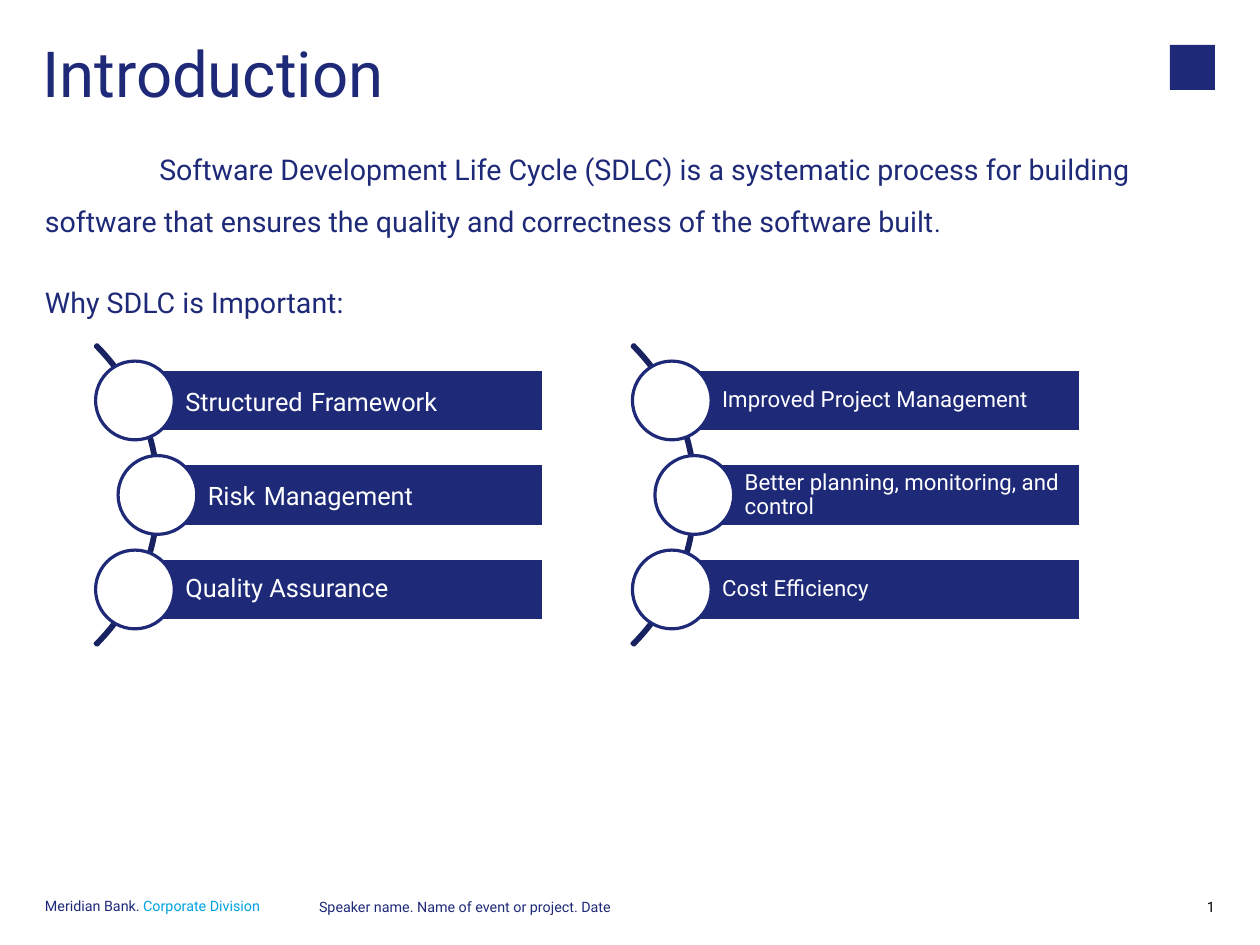
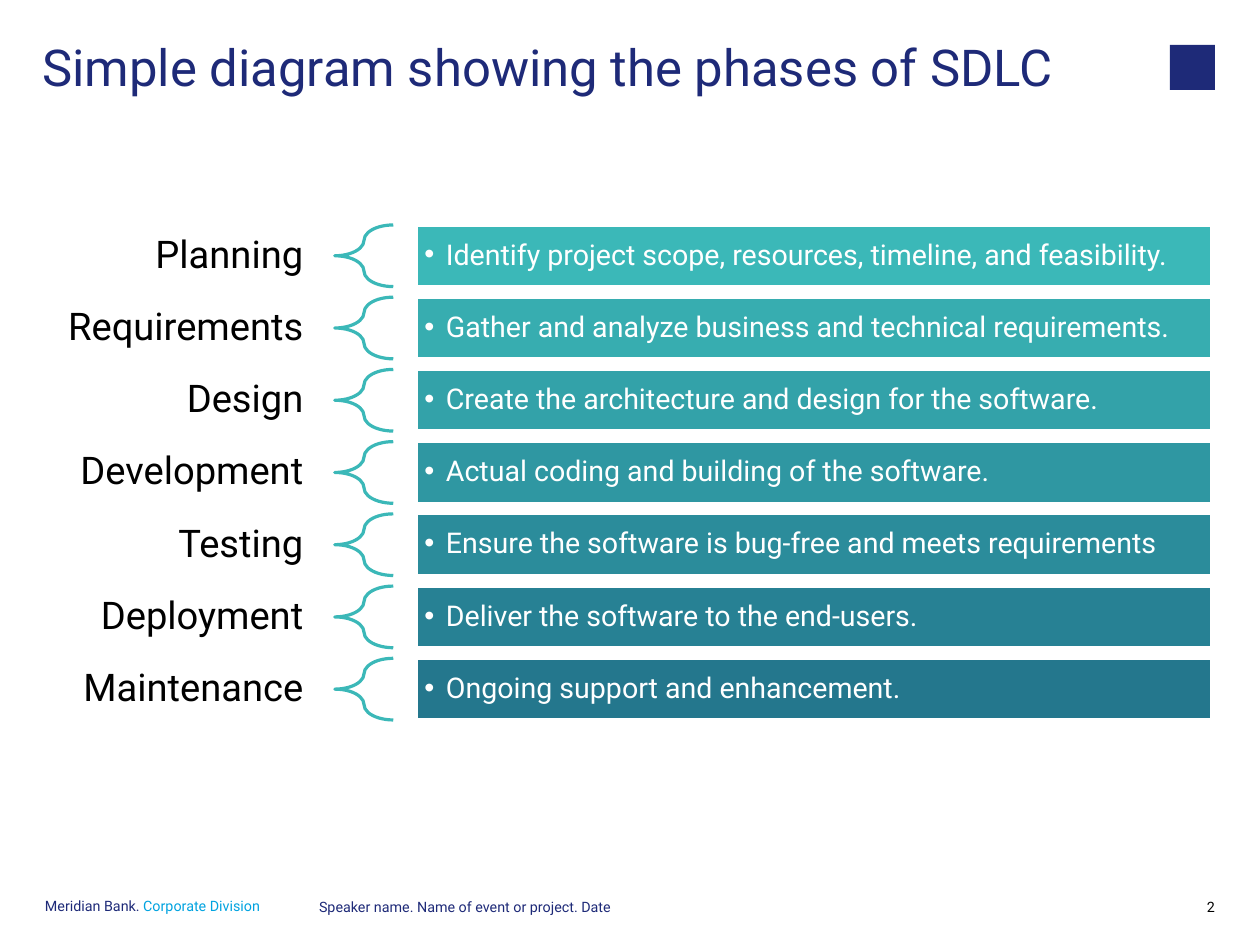
from dataclasses import dataclass

from pptx import Presentation
from pptx.dml.color import RGBColor
from pptx.enum.shapes import MSO_SHAPE
from pptx.enum.text import MSO_ANCHOR, PP_ALIGN
from pptx.oxml.ns import qn
from pptx.util import Cm, Pt


@dataclass(frozen=True)
class Theme:
    font: str = "Roboto"
    navy: str = "1E2A78"
    arc: str = "182260"
    sky: str = "00A3E0"
    teal: str = "3BB8B8"
    deep: str = "24778D"
    black: str = "000000"
    white: str = "FFFFFF"
    title: int = 40
    long: int = 32
    label: int = 24
    body: int = 18
    bar: int = 16
    small: int = 14
    foot: int = 9
    line: int = 2


T = Theme()

# Each bar is a list of (text, size) runs.
LEFT = [
    [("Structured", T.bar), (" ", 21), ("Framework", T.bar)],
    [("Risk", T.bar), (" ", 21), ("Management", T.bar)],
    [("Quality Assurance", T.bar)],
]
RIGHT = [
    [("Improved Project Management", T.small)],
    [("Better planning, monitoring, and control", T.small)],
    [("Cost Efficiency", T.small)],
]
PHASES = [
    ("Planning", "Identify project scope, resources, timeline, and feasibility."),
    ("Requirements", "Gather and analyze business and technical requirements."),
    ("Design", "Create the architecture and design for the software."),
    ("Development", "Actual coding and building of the software."),
    ("Testing", "Ensure the software is bug-free and meets requirements"),
    ("Deployment", "Deliver the software to the end-users."),
    ("Maintenance", "Ongoing support and enhancement."),
]


def paint(shape, fill=None, line=None):
    shape.shadow.inherit = False
    if fill:
        shape.fill.solid()
        shape.fill.fore_color.rgb = RGBColor.from_string(fill)
    else:
        shape.fill.background()
    if line:
        shape.line.color.rgb = RGBColor.from_string(line)
        shape.line.width = Pt(T.line)
    else:
        shape.line.fill.background()


def draw(slide, kind, box, fill=None, line=None):
    shape = slide.shapes.add_shape(kind, *map(Cm, box))
    paint(shape, fill, line)
    return shape


def setup(shape, pads=(0, 0, 0, 0), anchor=MSO_ANCHOR.TOP):
    """Set wrapping, insets (left, top, right, bottom) and anchor."""
    frame = shape.text_frame
    frame.word_wrap = True
    frame.vertical_anchor = anchor
    (frame.margin_left, frame.margin_top,
     frame.margin_right, frame.margin_bottom) = map(Cm, pads)
    return frame


def write(para, runs, space=0.9, align=PP_ALIGN.LEFT):
    """Fill a paragraph with (text, size, colour) runs."""
    para.alignment = align
    para.line_spacing = space
    for text, size, color in runs:
        run = para.add_run()
        run.text = text
        run.font.name = T.font
        run.font.size = Pt(size)
        run.font.color.rgb = RGBColor.from_string(color)


def label(slide, box, runs, pads=(0, 0, 0, 0), anchor=MSO_ANCHOR.TOP, **style):
    shape = slide.shapes.add_textbox(*map(Cm, box))
    frame = setup(shape, pads, anchor)
    write(frame.paragraphs[0], runs, **style)
    return frame


def indent(para, first, left=0, mark=None):
    props = para._p.get_or_add_pPr()
    props.set("marL", str(Cm(left)))
    props.set("indent", str(Cm(first)))
    if mark:
        font = props.makeelement(qn("a:buFont"), {"typeface": "Arial"})
        bullet = props.makeelement(qn("a:buChar"), {"char": mark})
        props.extend([font, bullet])


def blend(start, end, share):
    pairs = [(int(start[i:i + 2], 16), int(end[i:i + 2], 16)) for i in (0, 2, 4)]
    return "".join(f"{int(a + (b - a) * share):02X}" for a, b in pairs)


def start(deck, title, size):
    """Add a slide with its title, corner mark and footer."""
    slide = deck.slides.add_slide(deck.slide_layouts[6])
    draw(slide, MSO_SHAPE.RECTANGLE, (26, 1, 1, 1), T.navy)
    label(slide, (0.94, 0.94, 24.05, 1.55), [(title, size, T.navy)])
    exact = Pt(T.foot)
    label(slide, (1, 20, 5.56, 0.5),
          [("Meridian Bank. ", T.foot, T.navy),
           ("Corporate Division", T.foot, T.sky)], space=exact)
    label(slide, (7.09, 20.02, 13.72, 0.5),
          [("Speaker name. Name of event or project. Date", T.foot, T.navy)],
          space=exact)
    label(slide, (26, 20.02, 1, 0.5),
          [(str(len(deck.slides)), T.foot, T.black)],
          space=exact, align=PP_ALIGN.RIGHT)
    return slide


def curve(slide, left, bars):
    """Draw bars with round markers strung along an arc."""
    mid, step, high, dot, ring = 11, 2.1, 1.4, 1.75, 9.45
    arc = draw(slide, MSO_SHAPE.BLOCK_ARC,
               (left - 8.91, mid - ring / 2, ring, ring), T.arc, T.arc)
    for i, value in enumerate((189, 27, 0.006)):
        arc.adjustments[i] = value
    for i, runs in enumerate(bars):
        x = left + (0.5 if i == 1 else 0)
        y = mid + (i - 1) * step
        bar = draw(slide, MSO_SHAPE.RECTANGLE,
                   (x, y - high / 2, left + 9.09 - x, high), T.navy, T.white)
        frame = setup(bar, (1.12, 0.1, 0.1, 0.1), MSO_ANCHOR.MIDDLE)
        write(frame.paragraphs[0], [(*run, T.white) for run in runs])
        draw(slide, MSO_SHAPE.OVAL, (x - dot / 2, y - dot / 2, dot, dot),
             T.white, T.navy)


def phase(slide, top, name, text, fill):
    high = 1.37
    label(slide, (0.94, top, 6.5, high), [(name, T.label, T.black)],
          (0.48, 0.18, 0.7, 0.18), MSO_ANCHOR.MIDDLE, align=PP_ALIGN.RIGHT)
    brace = draw(slide, MSO_SHAPE.LEFT_BRACE, (7.44, top, 1.3, high), line=T.teal)
    brace.adjustments[0] = 0.35
    brace.adjustments[1] = 0.5
    bar = draw(slide, MSO_SHAPE.RECTANGLE, (9.25, top, 17.67, high), fill, T.white)
    para = setup(bar, (0.18,) * 4, MSO_ANCHOR.MIDDLE).paragraphs[0]
    indent(para, -0.48, 0.48, "•")
    write(para, [(text, T.body, T.white)])


def intro(deck):
    slide = start(deck, "Introduction", T.title)
    text = ("Software Development Life Cycle (SDLC) is a systematic process for "
            "building software that ensures the quality and correctness of the "
            "software built")
    frame = label(slide, (1, 3, 26, 5.2),
                  [(text, T.body, T.navy), (".", T.bar, T.navy)], space=1.5)
    indent(frame.paragraphs[0], 2.54)
    para = frame.add_paragraph()
    write(para, [("Why SDLC is Important:", T.body, T.navy)], space=1.5)
    para.space_before = Pt(19)
    curve(slide, 3, LEFT)
    curve(slide, 14.93, RIGHT)


def steps(deck):
    slide = start(deck, "Simple diagram showing the phases of SDLC", T.long)
    first, last = 5, 14.63
    for i, (name, text) in enumerate(PHASES):
        share = i / (len(PHASES) - 1)
        phase(slide, first + (last - first) * share, name, text,
              blend(T.teal, T.deep, share))


def main():
    deck = Presentation()
    deck.slide_width, deck.slide_height = Cm(28), Cm(21)
    intro(deck)
    steps(deck)
    deck.save("out.pptx")


if __name__ == "__main__":
    main()
